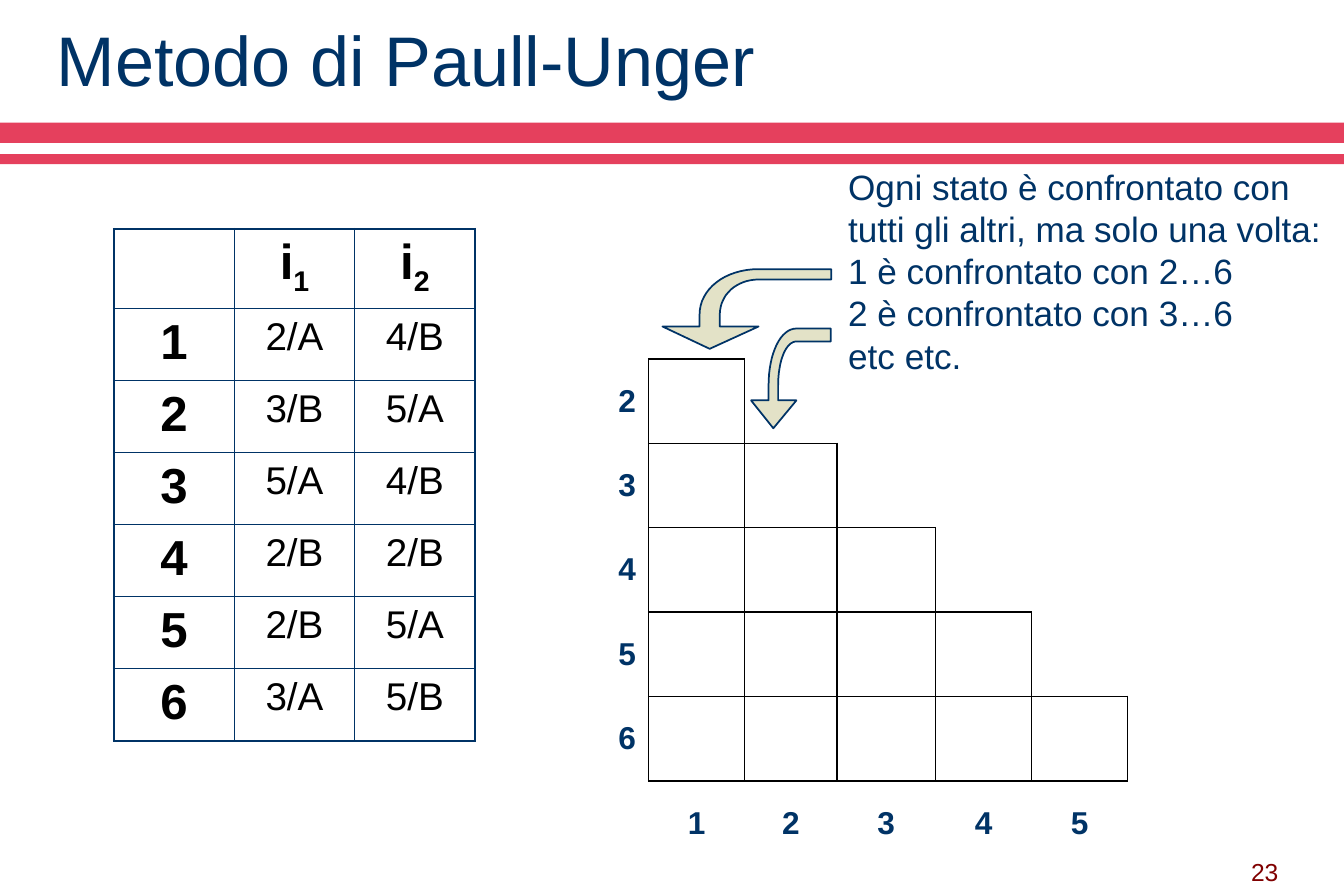
"""Build the Paull-Unger slide: a state table and a stair-shaped grid of pairs."""
import dataclasses
import typing

import lxml.etree
import pptx
import pptx.dml.color
import pptx.enum.shapes
import pptx.enum.text
import pptx.oxml.ns
import pptx.slide
import pptx.table
import pptx.text.text
import pptx.util

RGB = pptx.dml.color.RGBColor
NAVY = RGB(0x00, 0x33, 0x66)
ROSE = RGB(0xE5, 0x40, 0x5D)
SAND = RGB(0xE3, 0xE2, 0xC7)
WINE = RGB(0x80, 0x00, 0x00)
BLACK = RGB(0x00, 0x00, 0x00)
ALIGN = pptx.enum.text.PP_ALIGN
ANCHOR = pptx.enum.text.MSO_ANCHOR
WIDTH = pptx.util.Inches(10.63)
HEIGHT = pptx.util.Inches(7.09)
UNIT = 1000
SIDES = {"lnL": (0, -1), "lnR": (0, 1), "lnT": (-1, 0), "lnB": (1, 0)}
Point = tuple[float, float]
Edge = typing.Callable[[int, int, int, int], float]


def across(share: float) -> int:
    """Turn a percentage of the slide's width into a length."""
    return round(WIDTH * share / 100)


def down(share: float) -> int:
    """Turn a percentage of the slide's height into a length."""
    return round(HEIGHT * share / 100)


@dataclasses.dataclass(frozen=True)
class Box:
    """Hold a place in percentages of the slide's size."""
    left: float
    top: float
    width: float
    height: float

    def place(self) -> tuple[int, int, int, int]:
        """Give left, top, width and height as lengths."""
        return across(self.left), down(self.top), across(self.width), down(self.height)


@dataclasses.dataclass(frozen=True)
class Style:
    """Hold the look of a piece of text."""
    size: float
    color: RGB
    bold: bool = False
    align: ALIGN = ALIGN.LEFT


TITLE = Style(40, NAVY)
NOTE = Style(20, NAVY)
PAGE = Style(14, WINE, align=ALIGN.RIGHT)
HEAD = Style(28, BLACK, True, ALIGN.CENTER)
ENTRY = Style(22, BLACK, align=ALIGN.CENTER)
ROW_TAG = Style(18, NAVY, True, ALIGN.RIGHT)
COL_TAG = Style(18, NAVY, True, ALIGN.CENTER)

BARS = [Box(0, 13.68, 100, 2.26), Box(0, 17.21, 100, 1.13)]
ARROWS = [Box(49.29, 30.04, 12.56, 8.89), Box(55.88, 36.67, 5.93, 11.14)]
STATES = [("2/A", "4/B"), ("3/B", "5/A"), ("5/A", "4/B"),
          ("2/B", "2/B"), ("2/B", "5/A"), ("3/A", "5/B")]
LINES = ["Ogni stato è confrontato con tutti gli altri, ma solo una volta:",
         "1 è confrontato con 2…6", "2 è confrontato con 3…6", "etc etc."]


def dress(frame: pptx.text.text.TextFrame, style: Style) -> None:
    """Format all runs of a text frame."""
    for para in frame.paragraphs:
        para.alignment = style.align
        for run in para.runs:
            font = run.font
            font.name, font.size, font.bold = "Arial", pptx.util.Pt(style.size), style.bold
            font.color.rgb = style.color


def write(slide: pptx.slide.Slide, box: Box, text: str, style: Style, anchor: ANCHOR) -> None:
    """Add a wrapped text box."""
    frame = slide.shapes.add_textbox(*box.place()).text_frame
    frame.word_wrap = True
    frame.vertical_anchor = anchor
    frame.text = text
    dress(frame, style)


def fill_cell(cell: pptx.table._Cell, text: str, style: Style, anchor: ANCHOR) -> None:
    """Put formatted text in a table cell."""
    cell.text_frame.text = text
    cell.vertical_anchor = anchor
    dress(cell.text_frame, style)


def add_grid(slide: pptx.slide.Slide, left: float, top: float, cols: list[float],
             rows: list[float], color: RGB, edge: Edge) -> pptx.table.Table:
    """Add a plain table whose borders follow the edge rule."""
    box = Box(left, top, sum(cols), sum(rows))
    table = slide.shapes.add_table(len(rows), len(cols), *box.place()).table
    table.first_row = table.horz_banding = False
    for col, share in zip(table.columns, cols):
        col.width = across(share)
    for row, share in zip(table.rows, rows):
        row.height = down(share)
    for row in range(len(rows)):
        for col in range(len(cols)):
            cell = table.cell(row, col)
            for side, (dy, dx) in SIDES.items():
                rule(cell, side, edge(row, col, row + dy, col + dx), color)
            cell.fill.background()
    return table


def rule(cell: pptx.table._Cell, side: str, weight: float, color: RGB) -> None:
    """Draw one border of a cell, or hide it at zero weight."""
    name = pptx.oxml.ns.qn
    line = lxml.etree.SubElement(cell._tc.get_or_add_tcPr(), name(f"a:{side}"))
    line.set("w", str(int(pptx.util.Pt(weight))))
    if weight:
        fill = lxml.etree.SubElement(line, name("a:solidFill"))
        lxml.etree.SubElement(fill, name("a:srgbClr")).set("val", str(color))
    else:
        lxml.etree.SubElement(line, name("a:noFill"))


def state_edge(row: int, col: int, near_row: int, near_col: int) -> float:
    """Make the outer frame heavier than the inner lines."""
    return 0.45 if 0 <= near_row <= len(STATES) and 0 <= near_col <= 2 else 1.08


def in_stair(row: int, col: int) -> bool:
    """Tell whether a cell holds a pair of states."""
    return 0 <= row < 5 and 1 <= col <= row + 1


def stair_edge(row: int, col: int, near_row: int, near_col: int) -> float:
    """Draw a line wherever a pair's cell lies on either side."""
    return 0.96 if in_stair(row, col) or in_stair(near_row, near_col) else 0


def add_states(slide: pptx.slide.Slide) -> None:
    """Add the table of states and inputs."""
    rows = [8.93] + [8.04] * len(STATES)
    table = add_grid(slide, 8.47, 25.53, [8.96] * 3, rows, NAVY, state_edge)
    for col in (1, 2):
        cell = table.cell(0, col)
        cell.text_frame.text = "i"
        run = cell.text_frame.paragraphs[0].add_run()
        run.text = str(col)
        dress(cell.text_frame, HEAD)
        run._r.get_or_add_rPr().set("baseline", "-25000")
    for row, pair in enumerate(STATES, 1):
        fill_cell(table.cell(row, 0), str(row), HEAD, ANCHOR.TOP)
        for col, text in enumerate(pair, 1):
            fill_cell(table.cell(row, col), text, ENTRY, ANCHOR.TOP)


def add_stair(slide: pptx.slide.Slide) -> None:
    """Add the stair of state pairs with its labels."""
    cols = [7.15, 7.15, 6.87, 7.34, 7.15, 7.15]
    table = add_grid(slide, 41.11, 40.06, cols, [9.42] * 6, BLACK, stair_edge)
    for step in range(5):
        fill_cell(table.cell(step, 0), str(step + 2), ROW_TAG, ANCHOR.MIDDLE)
        fill_cell(table.cell(5, step + 1), str(step + 1), COL_TAG, ANCHOR.MIDDLE)


def curve(a: Point, b: Point, c: Point, d: Point, count: int = 16) -> list[Point]:
    """Sample a cubic curve from a to d."""
    steps = [i / count for i in range(count + 1)]
    return [tuple((1 - t) ** 3 * p + 3 * (1 - t) ** 2 * t * q + 3 * (1 - t) * t * t * r + t ** 3 * s
                  for p, q, r, s in zip(a, b, c, d)) for t in steps]


def add_arrow(slide: pptx.slide.Slide, box: Box) -> None:
    """Add an arrow that bends from the right to point down."""
    outline = [(0.28, 1), (0, 0.72), (0.22, 0.72),
               *curve((0.22, 0.57), (0.22, 0.25), (0.37, 0), (0.57, 0)), (1, 0), (1, 0.13),
               *curve((0.57, 0.13), (0.44, 0.13), (0.34, 0.32), (0.34, 0.57)),
               (0.34, 0.72), (0.57, 0.72)]
    points = [(x * UNIT, y * UNIT) for x, y in outline]
    left, top, width, height = box.place()
    pen = slide.shapes.build_freeform(*points[0], scale=(width / UNIT, height / UNIT))
    pen.add_line_segments(points[1:], close=True)
    arrow = pen.convert_to_shape(left, top)
    arrow.shadow.inherit = False
    arrow.fill.solid()
    arrow.fill.fore_color.rgb = SAND
    arrow.line.color.rgb = NAVY
    arrow.line.width = pptx.util.Pt(1)


def main() -> None:
    """Build and save the slide."""
    deck = pptx.Presentation()
    deck.slide_width, deck.slide_height = WIDTH, HEIGHT
    slide = deck.slides.add_slide(deck.slide_layouts.get_by_name("Title Only"))
    for box in BARS:
        bar = slide.shapes.add_shape(pptx.enum.shapes.MSO_SHAPE.RECTANGLE, *box.place())
        bar.shadow.inherit = False
        bar.fill.solid()
        bar.fill.fore_color.rgb = ROSE
        bar.line.fill.background()
    title = slide.shapes.title
    title.left, title.top, title.width, title.height = Box(3.29, 3.39, 80.71, 7.76).place()
    title.text_frame.text = "Metodo di Paull-Unger"
    title.text_frame.vertical_anchor = ANCHOR.MIDDLE
    title.text_frame.paragraphs[0].line_spacing = 0.85
    dress(title.text_frame, TITLE)
    write(slide, Box(72.06, 92.95, 23.99, 6.63), "23", PAGE, ANCHOR.BOTTOM)
    add_stair(slide)
    add_states(slide)
    write(slide, Box(62.18, 17.77, 37.82, 24.96), "\n".join(LINES), NOTE, ANCHOR.TOP)
    for box in ARROWS:
        add_arrow(slide, box)
    deck.save("out.pptx")


if __name__ == "__main__":
    main()
